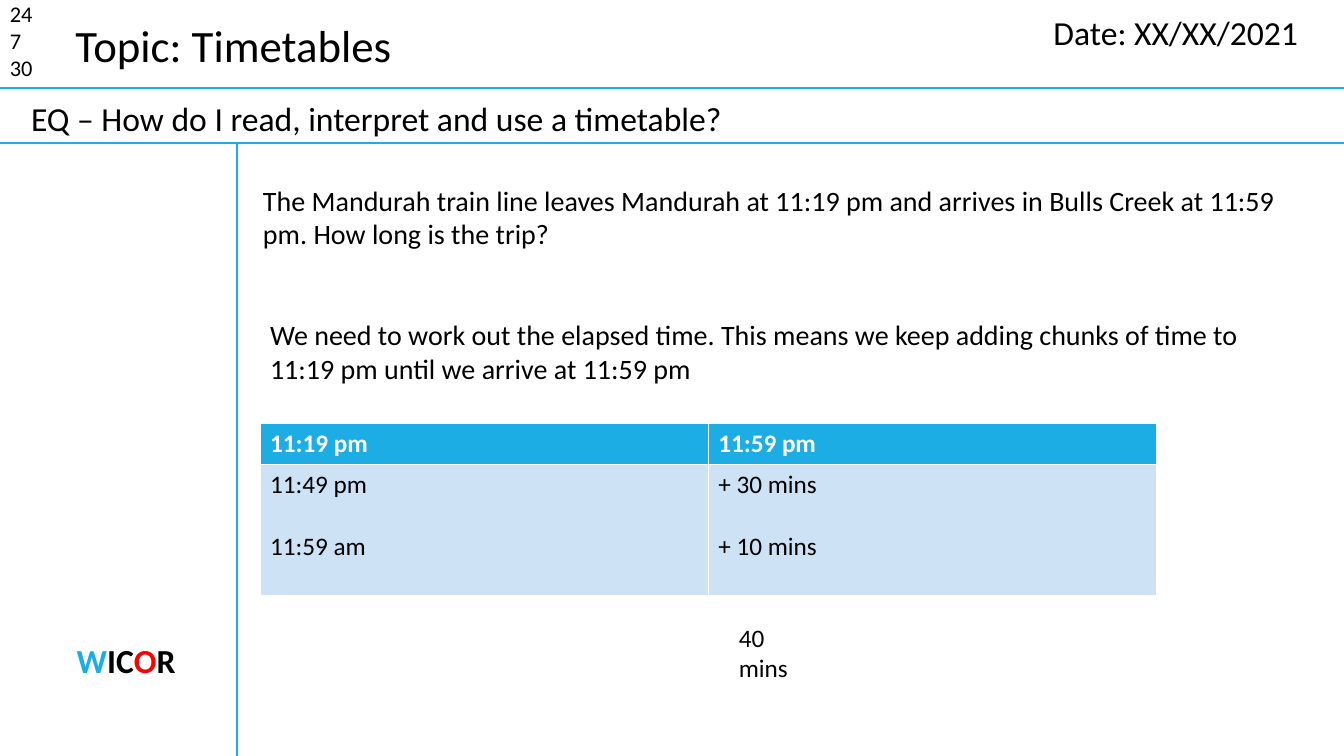
from lxml import etree
from pptx import Presentation
from pptx.dml.color import RGBColor
from pptx.enum.shapes import MSO_CONNECTOR
from pptx.enum.text import PP_ALIGN
from pptx.oxml.ns import qn
from pptx.util import Inches, Pt

STRAIGHT = MSO_CONNECTOR.STRAIGHT
LEFT, CENTER = PP_ALIGN.LEFT, PP_ALIGN.CENTER
BLUE = RGBColor(0x1C, 0xAD, 0xE4)
PALE_BLUE = RGBColor(0xCD, 0xE3, 0xF5)
BLACK = RGBColor(0, 0, 0)
RED = RGBColor(0xFF, 0, 0)
WHITE = RGBColor(0xFF, 0xFF, 0xFF)


def write(frame, paragraphs, size=18, color=BLACK, bold=False, align=LEFT, gap=0):
    frame.word_wrap = True
    for index, runs in enumerate(paragraphs):
        paragraph = frame.add_paragraph() if index else frame.paragraphs[0]
        paragraph.alignment = align
        if index and gap:
            paragraph.space_before = Pt(gap)
        if isinstance(runs, str):
            runs = [(runs, color)]
        for text, run_color in runs:
            run = paragraph.add_run()
            run.text = text
            run.font.name = "Calibri"
            run.font.size = Pt(size)
            run.font.bold = bold
            run.font.color.rgb = run_color


prs = Presentation()
prs.slide_width = Inches(13.33)
prs.slide_height = Inches(7.5)
slide = prs.slides.add_slide(prs.slide_layouts[6])

for x1, y1, x2, y2 in [
    (0, 0.87, 13.33, 0.87),
    (0, 1.42, 13.33, 1.42),
    (2.35, 1.42, 2.35, 7.5),
]:
    divider = slide.shapes.add_connector(
        STRAIGHT, Inches(x1), Inches(y1), Inches(x2), Inches(y2))
    divider.line.color.rgb = BLUE
    divider.line.width = Pt(1.5)
    etree.SubElement(divider._element.spPr, qn("a:effectLst"))

wicor = [("W", BLUE), ("IC", BLACK), ("O", RED), ("R", BLACK)]
question = ("The Mandurah train line leaves Mandurah at 11:19 pm and arrives "
            "in Bulls Creek at 11:59 pm. How long is the trip?")
method = ("We need to work out the elapsed time. This means we keep adding "
          "chunks of time to 11:19 pm until we arrive at 11:59 pm")

for left, top, width, height, paragraphs, style in [
    (0, -0.05, 0.63, 0.91, ["24", "7", "30"], dict(size=16)),
    (0.65, 0.13, 3.37, 0.64, ["Topic: Timetables"], dict(size=32)),
    (10.35, 0.07, 2.64, 0.5, ["Date: XX/XX/2021"], dict(size=24)),
    (0.21, 0.92, 8.52, 0.5,
     ["EQ – How do I read, interpret and use a timetable?"], dict(size=24)),
    (0.14, 6.3, 2.22, 0.5, [wicor], dict(size=24, bold=True, align=CENTER)),
    (2.51, 1.77, 10.55, 0.77, [question], dict(size=20)),
    (2.58, 3.1, 10.48, 0.77, [method], dict(size=20)),
    (7.23, 6.12, 0.9, 0.71, ["40 mins"], dict(size=18)),
]:
    box = slide.shapes.add_textbox(
        Inches(left), Inches(top), Inches(width), Inches(height))
    write(box.text_frame, paragraphs, **style)

elapsed_times = slide.shapes.add_table(
    2, 2, Inches(2.58), Inches(4.2), Inches(8.89), Inches(1.71)).table
elapsed_times.rows[0].height = Inches(0.41)
elapsed_times.rows[1].height = Inches(1.3)

for column, (heading, steps) in enumerate([
    ("11:19 pm", ["11:49 pm", "11:59 am"]),
    ("11:59 pm", ["+ 30 mins", "+ 10 mins"]),
]):
    for row, fill, paragraphs, style in [
        (0, BLUE, [heading], dict(color=WHITE, bold=True)),
        (1, PALE_BLUE, steps, dict(gap=22)),
    ]:
        cell = elapsed_times.cell(row, column)
        cell.fill.solid()
        cell.fill.fore_color.rgb = fill
        write(cell.text_frame, paragraphs, **style)

prs.save("out.pptx")
